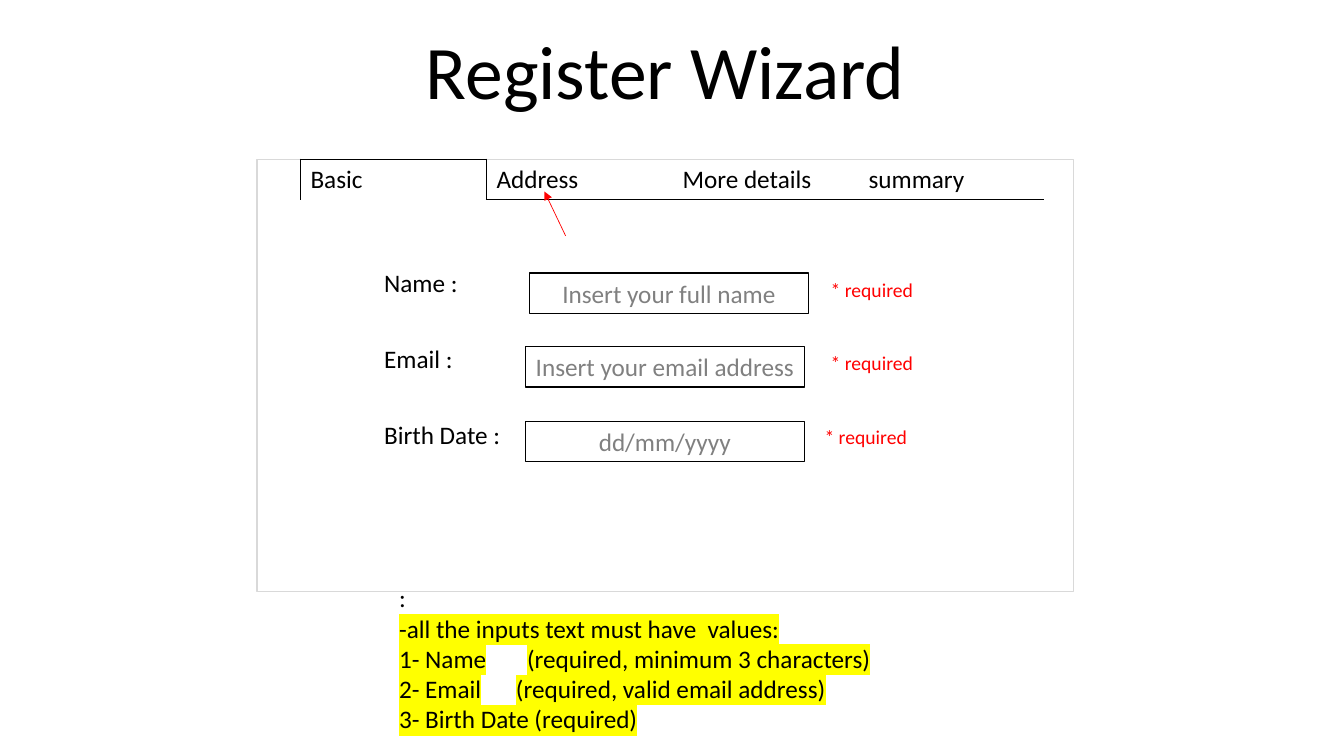
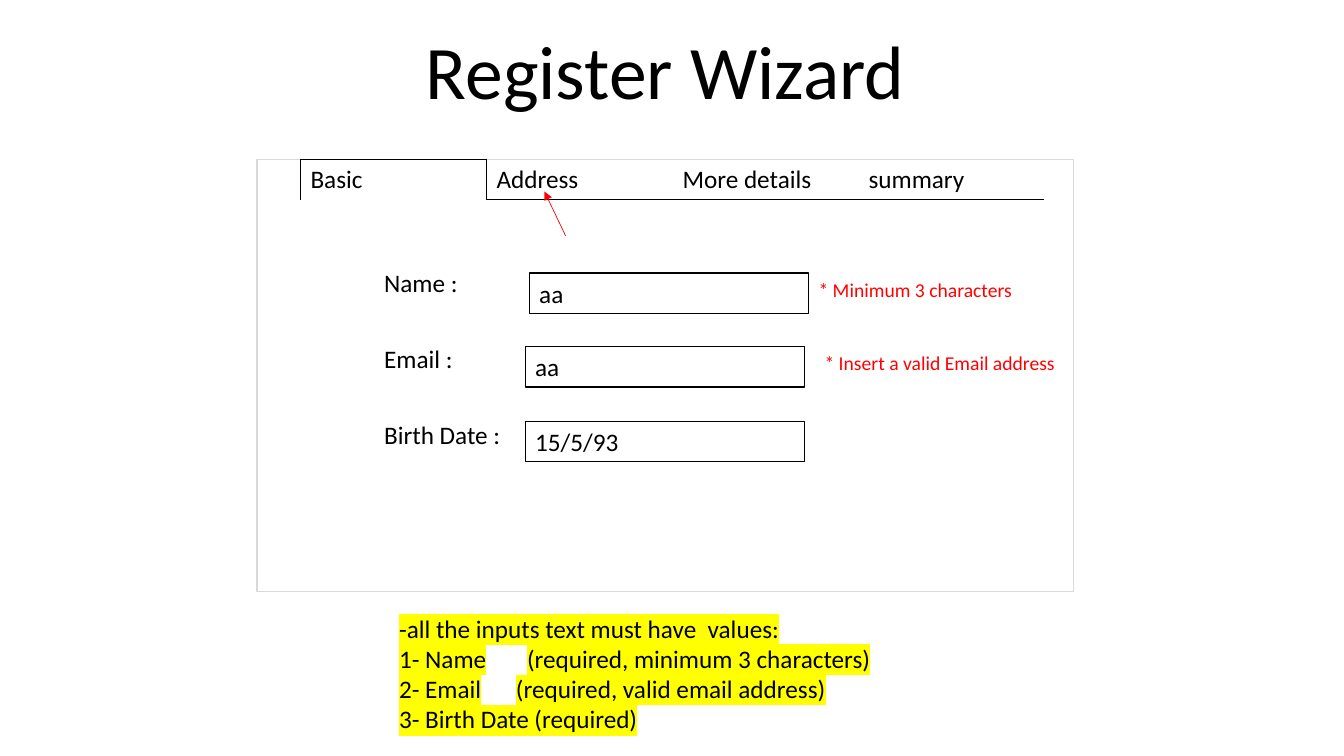
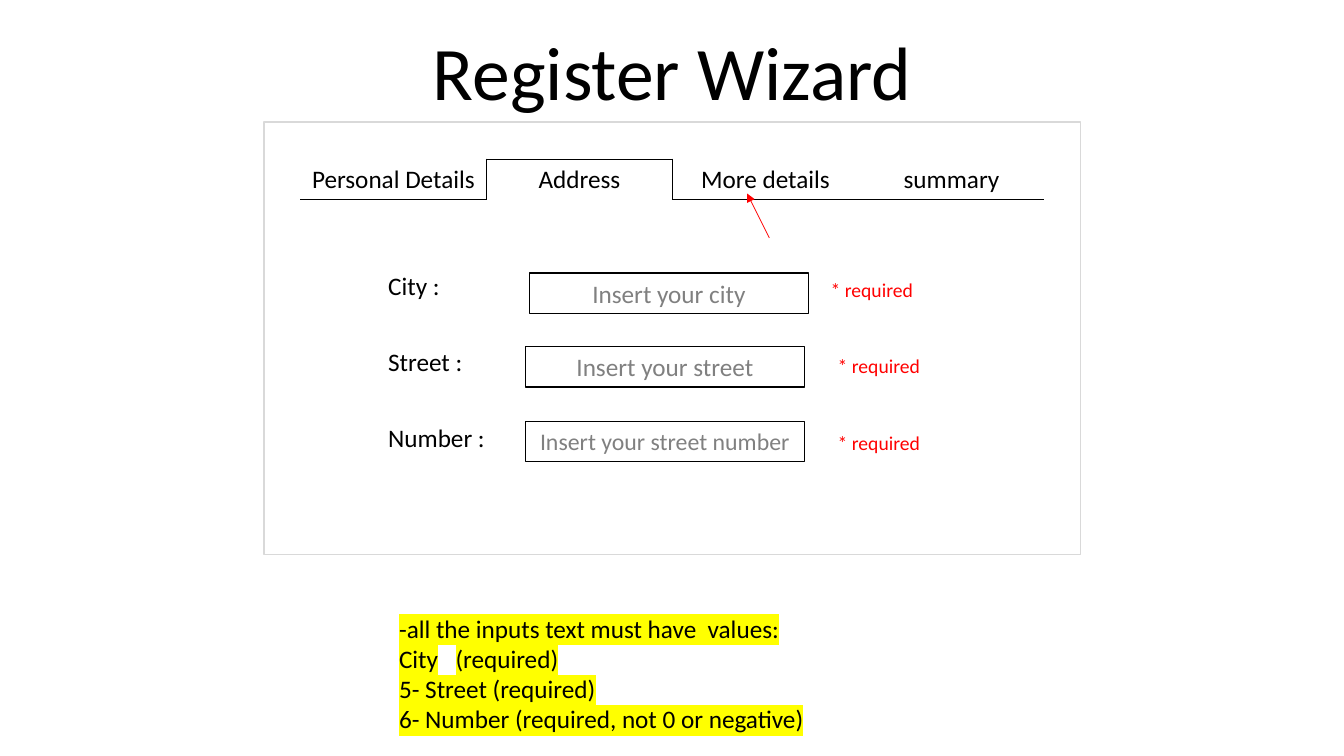
from lxml import etree
from pptx import Presentation
from pptx.dml.color import RGBColor
from pptx.enum.shapes import MSO_CONNECTOR, MSO_SHAPE
from pptx.enum.text import MSO_ANCHOR, PP_ALIGN
from pptx.oxml.ns import qn
from pptx.util import Inches, Pt

LEFT, CENTER = PP_ALIGN.LEFT, PP_ALIGN.CENTER
TOP, MIDDLE, BOTTOM = MSO_ANCHOR.TOP, MSO_ANCHOR.MIDDLE, MSO_ANCHOR.BOTTOM
RECTANGLE, STRAIGHT = MSO_SHAPE.RECTANGLE, MSO_CONNECTOR.STRAIGHT

# Shared style
FONT = "Calibri"
COLORS = {
    "text": "000000",
    "hint": "808080",
    "error": "FF0000",
    "paper": "FFFFFF",
    "frame": "D9D9D9",
    "marker": "FFFF00",
}
TITLE = "Register Wizard"
PANEL_SIZE = (8.1, 4.29)
TABS_AT = (2.98, 1.58, 7.38, 0.4)
LABELS_SIZE = (1.54, 2.27)
FIELD_SPOTS = [(5.25, 2.71), (5.21, 3.44), (5.21, 4.18)]
FIELD_SIZE = (2.77, 0.4)
RULES_AT = (3.86, 5.71, 5.97, 1.62)

# Content: a rule is (text, tab stop in inches or None)
RULES_INTRO = ("-all the inputs text must have  values:", None)
BASIC_RULES = [
    RULES_INTRO,
    ("1- Name\t(required, minimum 3 characters)", 1.27),
    ("2- Email\t(required, valid email address)", 1.16),
    ("3- Birth Date (required)", None),
]
BASIC_STEP = {
    "title_at": (1.6, 0.37),
    "panel_at": (2.55, 1.58),
    "labels_at": (3.71, 2.61),
    "tabs": ["Basic", "Address", "More details", "summary"],
    "tab_align": LEFT,
    "active": 0,
    "labels": ["Name :", "Email :", "Birth Date :"],
    "arrow": ((5.61, 2.34), (5.4, 1.9)),
    "lead": "",
    "rules": BASIC_RULES,
}
STEPS = [
    BASIC_STEP | {
        "fields": [("Insert your full name", 18), ("Insert your email address", 18),
                   ("dd/mm/yyyy", 18)],
        "hints": True,
        "lead": ":",
        "errors": [("* required", 8.14, 2.71, 1.7), ("* required", 8.14, 3.43, 1.7),
                   ("* required", 8.08, 4.17, 1.7)],
    },
    BASIC_STEP | {
        "fields": [("aa", 18), ("aa", 18), ("15/5/93", 18)],
        "hints": False,
        "errors": [("* Minimum 3 characters", 8.02, 2.71, 2.77),
                   ("* Insert a valid Email address", 8.08, 3.43, 2.56)],
    },
    {
        "title_at": (1.67, 0.38),
        "panel_at": (2.62, 1.21),
        "labels_at": (3.75, 2.64),
        "tabs": ["Personal Details", "Address", "More details", "summary"],
        "tab_align": CENTER,
        "active": 1,
        "labels": ["City :", "Street :", "Number :"],
        "arrow": ((7.63, 2.36), (7.41, 1.92)),
        "fields": [("Insert your city", 18), ("Insert your street", 18),
                   ("Insert your street number", 17)],
        "hints": True,
        "lead": "",
        "rules": [
            RULES_INTRO,
            ("City\t(required)", 0.56),
            ("5- Street (required)", None),
            ("6- Number (required, not 0 or negative)", None),
        ],
        "errors": [("* required", 8.14, 2.71, 1.7), ("* required", 8.21, 3.46, 1.7),
                   ("* required", 8.21, 4.23, 1.7)],
    },
]


def color(name):
    return RGBColor.from_string(COLORS[name])


def inches(*values):
    return [Inches(value) for value in values]


def write(para, text, size=18, ink="text", align=LEFT):
    para.text = text
    para.alignment = align
    for span in para.runs:
        span.font.size = Pt(size)
        span.font.name = FONT
        span.font.color.rgb = color(ink)


def add_text(page, at, text, anchor=TOP, **style):
    box = page.shapes.add_textbox(*inches(*at))
    box.text_frame.word_wrap = True
    box.text_frame.vertical_anchor = anchor
    write(box.text_frame.paragraphs[0], text, **style)
    return box


def add_box(page, at, line):
    box = page.shapes.add_shape(RECTANGLE, *inches(*at))
    box.shadow.inherit = False
    box.fill.solid()
    box.fill.fore_color.rgb = color("paper")
    box.line.color.rgb = color(line)
    box.line.width = Pt(1)
    return box


def set_borders(cell, sides):
    """Draw the named sides (L, R, T, B) and clear the others."""
    properties = cell._tc.get_or_add_tcPr()
    for position, side in enumerate("LRTB"):
        border = etree.Element(qn(f"a:ln{side}"), w=str(Pt(1)))
        if side in sides:
            fill = etree.SubElement(border, qn("a:solidFill"))
            etree.SubElement(fill, qn("a:srgbClr"), val=COLORS["text"])
        else:
            etree.SubElement(border, qn("a:noFill"))
        properties.insert(position, border)


def add_grid(page, at, rows, align=LEFT, borders=None):
    """Plain table; borders lists the sides drawn for each column."""
    row_count, column_count = len(rows), len(rows[0])
    table = page.shapes.add_table(row_count, column_count, *inches(*at)).table
    table.first_row = table.horz_banding = False
    for row, texts in enumerate(rows):
        for column, text in enumerate(texts):
            cell = table.cell(row, column)
            cell.fill.background()
            write(cell.text_frame.paragraphs[0], text, align=align)
            set_borders(cell, borders[column] if borders else "")


def tab_borders(count, active):
    """The active tab is open below; the others stand on a line."""
    sides = ["B"] * count
    sides[active] = "LTR"
    if active > 0:
        sides[active - 1] += "R"
    if active < count - 1:
        sides[active + 1] += "L"
    return sides


def add_arrow(page, start, end):
    arrow = page.shapes.add_connector(STRAIGHT, *inches(*start, *end))
    arrow.line.color.rgb = color("error")
    arrow.line.width = Pt(0.5)
    properties = arrow.element.spPr
    etree.SubElement(properties.find(qn("a:ln")), qn("a:tailEnd"), type="triangle")
    etree.SubElement(properties, qn("a:effectLst"))


def highlight(span):
    marker = etree.Element(qn("a:highlight"))
    etree.SubElement(marker, qn("a:srgbClr"), val=COLORS["marker"])
    span._r.get_or_add_rPr().find(qn("a:solidFill")).addnext(marker)


def add_rules(page, lead, rules):
    lines = ([(lead, None)] if lead else []) + rules
    frame = add_text(page, RULES_AT, "", anchor=BOTTOM).text_frame
    for index, (text, stop) in enumerate(lines):
        para = frame.add_paragraph() if index else frame.paragraphs[0]
        write(para, text)
        if stop:
            stops = etree.SubElement(para._p.get_or_add_pPr(), qn("a:tabLst"))
            etree.SubElement(stops, qn("a:tab"), pos=str(Inches(stop)), algn="l")
        if text != lead:
            for span in para.runs:
                highlight(span)


def add_step(deck, step):
    page = deck.slides.add_slide(deck.slide_layouts[6])
    # Title and panel
    title = add_text(page, (*step["title_at"], 10, 0.83), TITLE,
                     anchor=BOTTOM, size=54, align=CENTER)
    title.text_frame.paragraphs[0].line_spacing = 0.9
    add_box(page, (*step["panel_at"], *PANEL_SIZE), "frame")
    # Tabs and labels
    add_grid(page, TABS_AT, [step["tabs"]], step["tab_align"],
             tab_borders(len(step["tabs"]), step["active"]))
    add_grid(page, (*step["labels_at"], *LABELS_SIZE),
             [[label] for label in step["labels"]])
    # Input fields
    hints = step["hints"]
    for spot, (text, size) in zip(FIELD_SPOTS, step["fields"]):
        frame = add_box(page, (*spot, *FIELD_SIZE), "text").text_frame
        frame.word_wrap = not hints
        frame.vertical_anchor = MIDDLE
        write(frame.paragraphs[0], text, size,
              "hint" if hints else "text", CENTER if hints else LEFT)
    # Rules, pointer and error messages
    add_rules(page, step["lead"], step["rules"])
    add_arrow(page, *step["arrow"])
    for text, left, top, width in step["errors"]:
        add_text(page, (left, top, width, 0.34), text, size=14, ink="error")


def main():
    deck = Presentation()
    deck.slide_width, deck.slide_height = inches(13.33, 7.5)
    for step in STEPS:
        add_step(deck, step)
    deck.save("out.pptx")


if __name__ == "__main__":
    main()
